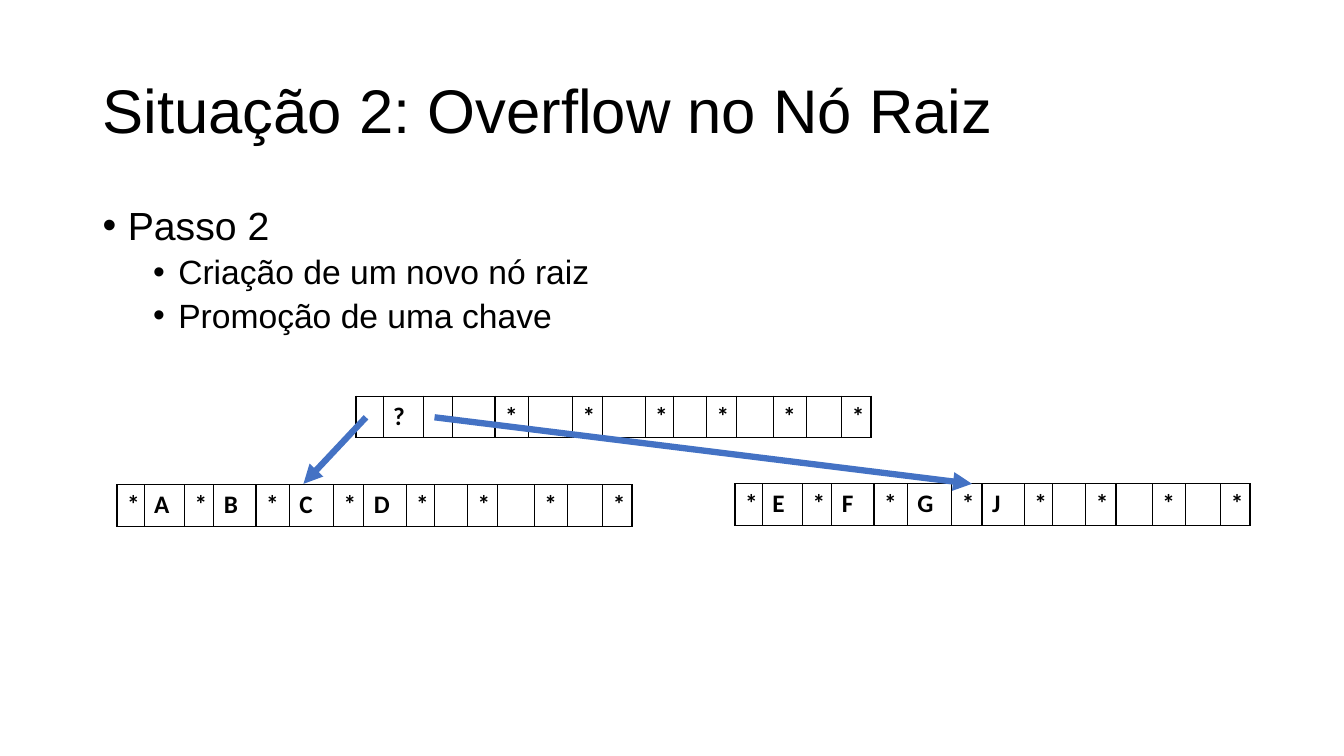
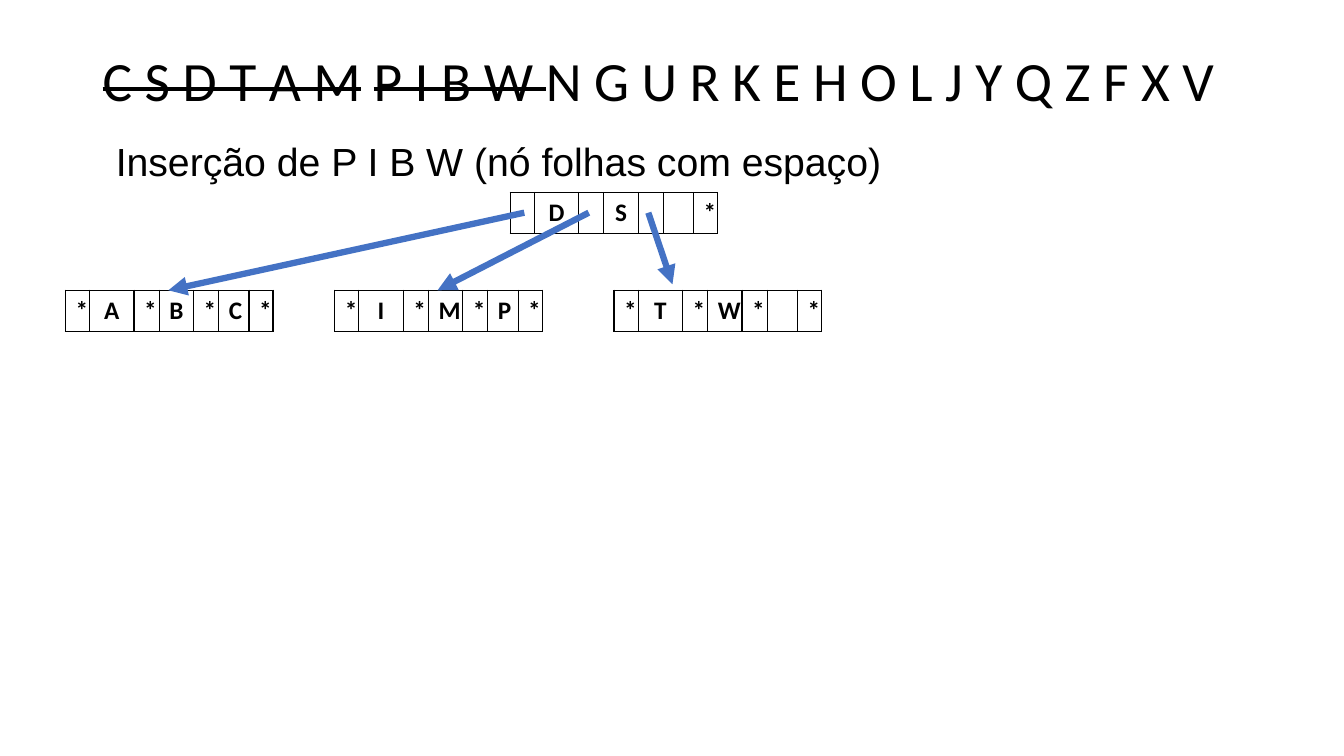
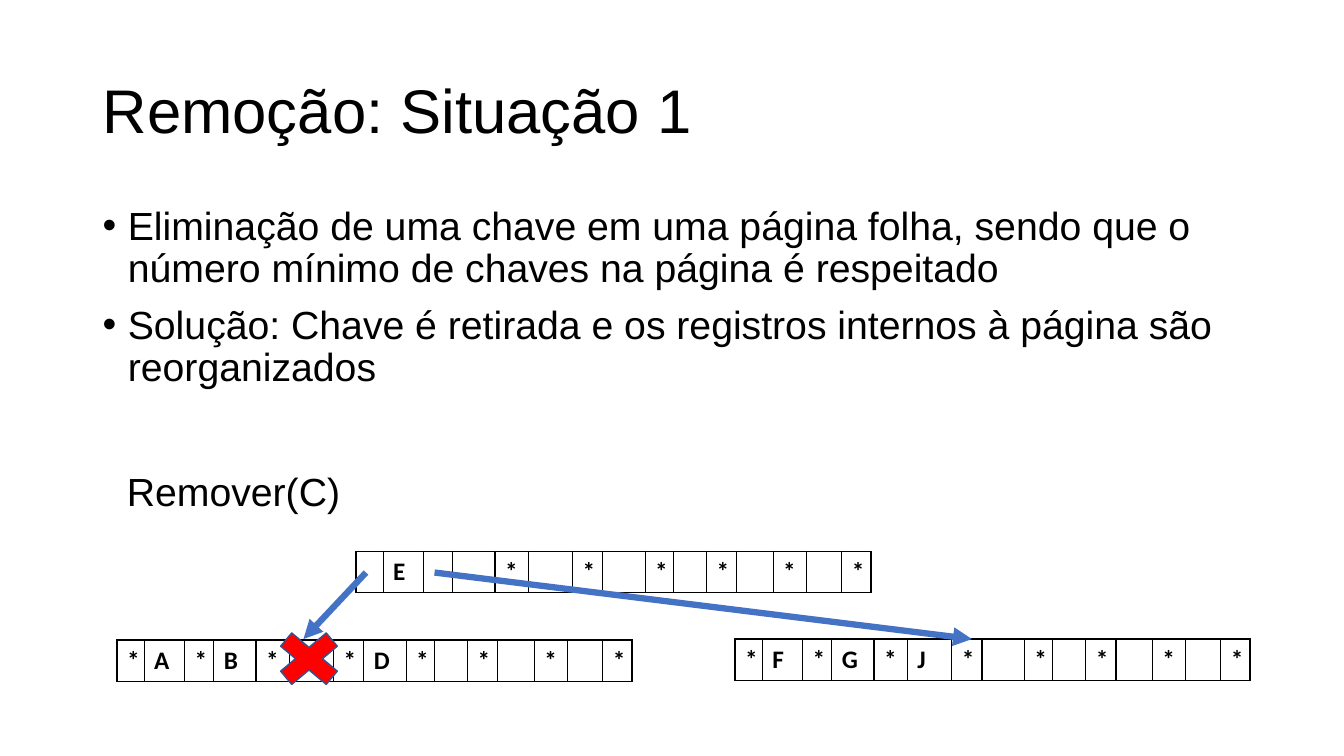
from lxml import etree
from pptx import Presentation
from pptx.dml.color import RGBColor
from pptx.enum.shapes import MSO_CONNECTOR, MSO_SHAPE
from pptx.enum.text import MSO_ANCHOR, PP_ALIGN
from pptx.oxml.ns import qn
from pptx.util import Inches, Pt

STRAIGHT = MSO_CONNECTOR.STRAIGHT
CROSS = MSO_SHAPE.MATH_MULTIPLY
TOP, MIDDLE = MSO_ANCHOR.TOP, MSO_ANCHOR.MIDDLE
LEFT, CENTER = PP_ALIGN.LEFT, PP_ALIGN.CENTER

BLACK = RGBColor(0x00, 0x00, 0x00)
BLUE = RGBColor(0x44, 0x72, 0xC4)
DARK_BLUE = RGBColor(0x32, 0x54, 0x91)
RED = RGBColor(0xFF, 0x00, 0x00)
TEXT_FONT, KEY_FONT = "Arial", "Calibri"

# Shared layout, in inches
TITLE_AREA = (0.92, 0.4, 11.5, 1.45)
BODY_LEFT, BODY_TOP, BODY_WIDTH = 0.92, 2, 11.5
ROW_HEIGHT = 0.41
WIDE_NODE = (0.27, 0.4, 0.29, 0.42, 0.33, 0.44, 0.3, 0.42,
             0.28, 0.33, 0.3, 0.36, 0.33, 0.35, 0.29)
SMALL_NODE = (0.23, 0.44, 0.25, 0.34, 0.25, 0.3, 0.23)

# Content: bullets are (level, text); each character of a node fills one cell
OVERFLOW = {
    "title": "Situação 2: Overflow no Nó Raiz",
    "bullets": [(0, "Passo 2"),
                (1, "Criação de um novo nó raiz"),
                (1, "Promoção de uma chave")],
    "body_height": 1.57,
    "tree_top": 3.93,
    "nodes": (" ?  * * * * * *", "*A*B*C*D* * * *", "*E*F*G*J* * * *"),
}
REMOVAL = {
    "title": "Remoção: Situação 1",
    "bullets": [(0, "Eliminação de uma chave em uma página folha, sendo que o "
                    "número mínimo de chaves na página é respeitado"),
                (0, "Solução: Chave é retirada e os registros internos à "
                    "página são reorganizados")],
    "body_height": 2.63,
    "tree_top": 5.47,
    "nodes": (" E  * * * * * *", "*A*B*C*D* * * *", "*F*G*J* * * * *"),
}
# (text, struck out)
KEY_SEQUENCE = [("C S D T A M", True), (" ", False), ("P I B W ", True),
                ("N G U R K E H O L J Y Q Z F X V", False)]
INSERTION = "Inserção de P I B W (nó folhas com espaço)"
INSERTION_NODES = [(5.06, 1.91, " D S  *"), (0.65, 2.88, "*A*B*C*"),
                   (3.32, 2.88, "*I*M*P*"), (6.09, 2.88, "*T*W* *")]
INSERTION_ARROWS = [(5.2, 2.11, 1.67, 2.88), (5.84, 2.11, 4.34, 2.88),
                    (6.43, 2.11, 6.67, 2.82)]


def inches(values):
    return [Inches(value) for value in values]


def add_span(para, text, size, font=TEXT_FONT, bold=False, strike=False):
    span = para.add_run()
    span.text = text
    span.font.name, span.font.size, span.font.bold = font, Pt(size), bold
    span.font.color.rgb = BLACK
    if strike:
        span.font._element.set("strike", "sngStrike")


def add_box(page, area, anchor=TOP, wrap=True):
    box = page.shapes.add_textbox(*inches(area))
    box.text_frame.word_wrap = wrap
    box.text_frame.vertical_anchor = anchor
    return box.text_frame


def add_text(page, text, area, size, anchor=TOP, wrap=True, spacing=0.9):
    para = add_box(page, area, anchor, wrap).paragraphs[0]
    para.line_spacing = spacing
    add_span(para, text, size)


def add_bullets(page, bullets, height):
    frame = add_box(page, (BODY_LEFT, BODY_TOP, BODY_WIDTH, height))
    for index, (level, text) in enumerate(bullets):
        para = frame.add_paragraph() if index else frame.paragraphs[0]
        para.level = level
        para.line_spacing = 0.9
        if index:
            para.space_before = Pt(5 if level else 10)
        props = para._p.get_or_add_pPr()
        props.set("marL", str(Inches(0.25 + 0.5 * level)))
        props.set("indent", str(Inches(-0.25)))
        etree.SubElement(props, qn("a:buFont"), typeface="Arial")
        etree.SubElement(props, qn("a:buChar"), char="•")
        add_span(para, text, 24 if level else 28)


def add_borders(cell):
    props = cell._tc.get_or_add_tcPr()
    for side in ("lnL", "lnR", "lnT", "lnB"):
        line = etree.SubElement(props, qn(f"a:{side}"), w=str(Pt(1)))
        fill = etree.SubElement(line, qn("a:solidFill"))
        etree.SubElement(fill, qn("a:srgbClr"), val=str(BLACK))


def add_node(page, left, top, keys, widths, align=LEFT):
    area = inches((left, top, sum(widths), ROW_HEIGHT))
    table = page.shapes.add_table(1, len(widths), *area).table
    table.first_row = table.horz_banding = False
    for index, (key, width) in enumerate(zip(keys, widths)):
        table.columns[index].width = Inches(width)
        cell = table.cell(0, index)
        add_borders(cell)
        cell.fill.background()
        para = cell.text_frame.paragraphs[0]
        para.alignment = align
        if key != " ":
            add_span(para, key, 18, KEY_FONT, bold=True)


def add_arrow(page, *ends):
    arrow = page.shapes.add_connector(STRAIGHT, *inches(ends))
    arrow.line.color.rgb = BLUE
    arrow.line.width = Pt(4.5)
    etree.SubElement(arrow.line._get_or_add_ln(), qn("a:tailEnd"), type="triangle")
    etree.SubElement(arrow._element.spPr, qn("a:effectLst"))


def add_cross(page, area):
    cross = page.shapes.add_shape(CROSS, *inches(area))
    cross.shadow.inherit = False
    cross.fill.solid()
    cross.fill.fore_color.rgb = RED
    cross.line.color.rgb = DARK_BLUE
    cross.line.width = Pt(1)


def new_page(deck):
    return deck.slides.add_slide(deck.slide_layouts[6])


def add_tree_page(deck, content):
    """Title, bullets and a root node with two wide leaves."""
    page = new_page(deck)
    add_text(page, content["title"], TITLE_AREA, 44, anchor=MIDDLE)
    add_bullets(page, content["bullets"], content["body_height"])
    top = content["tree_top"]
    places = ((3.53, top), (1.16, top + 0.88), (7.29, top + 0.87))
    for (left, node_top), keys in zip(places, content["nodes"]):
        add_node(page, left, node_top, keys, WIDE_NODE)
    for start, end in ((3.63, 3.01), (4.31, 9.64)):
        add_arrow(page, start, top + 0.21, end, top + 0.87)
    return page


def add_insertion_page(deck):
    page = new_page(deck)
    # Key sequence, raised above the middle of the title area
    frame = add_box(page, TITLE_AREA, MIDDLE)
    frame.margin_bottom = Inches(0.65)
    para = frame.paragraphs[0]
    para.line_spacing = 0.9
    for text, struck in KEY_SEQUENCE:
        add_span(para, text, 39.6, KEY_FONT, strike=struck)
    add_text(page, INSERTION, (1.05, 1.37, 11.5, 0.94), 28)
    # Tree
    for left, top, keys in INSERTION_NODES:
        add_node(page, left, top, keys, SMALL_NODE, CENTER)
    for ends in INSERTION_ARROWS:
        add_arrow(page, *ends)


def main():
    deck = Presentation()
    deck.slide_width, deck.slide_height = Inches(13.33), Inches(7.5)
    add_tree_page(deck, OVERFLOW)
    add_insertion_page(deck)
    removal = add_tree_page(deck, REMOVAL)
    add_text(removal, "Remover(C)", (1.16, 4.59, 2.35, 0.57), 28,
             wrap=False, spacing=1.0)
    add_cross(removal, (2.63, 6.17, 0.87, 0.73))
    deck.save("out.pptx")


if __name__ == "__main__":
    main()
